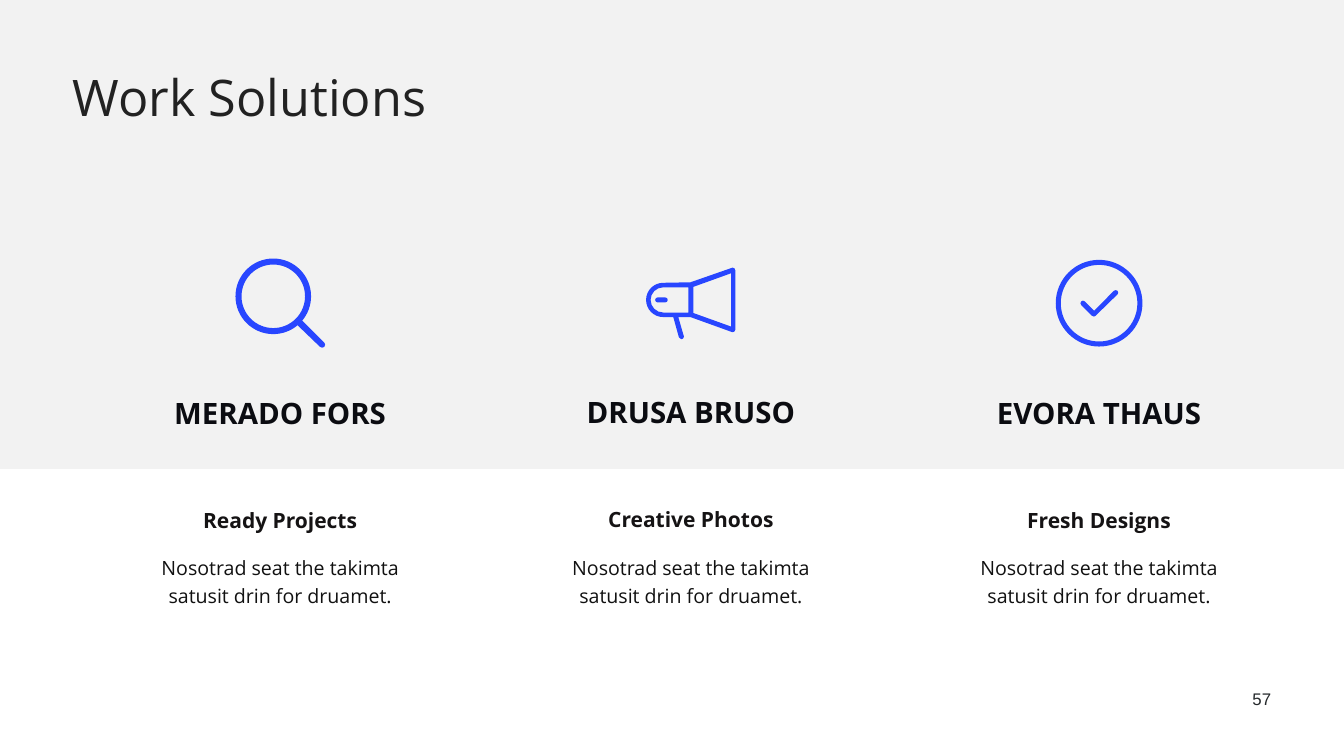
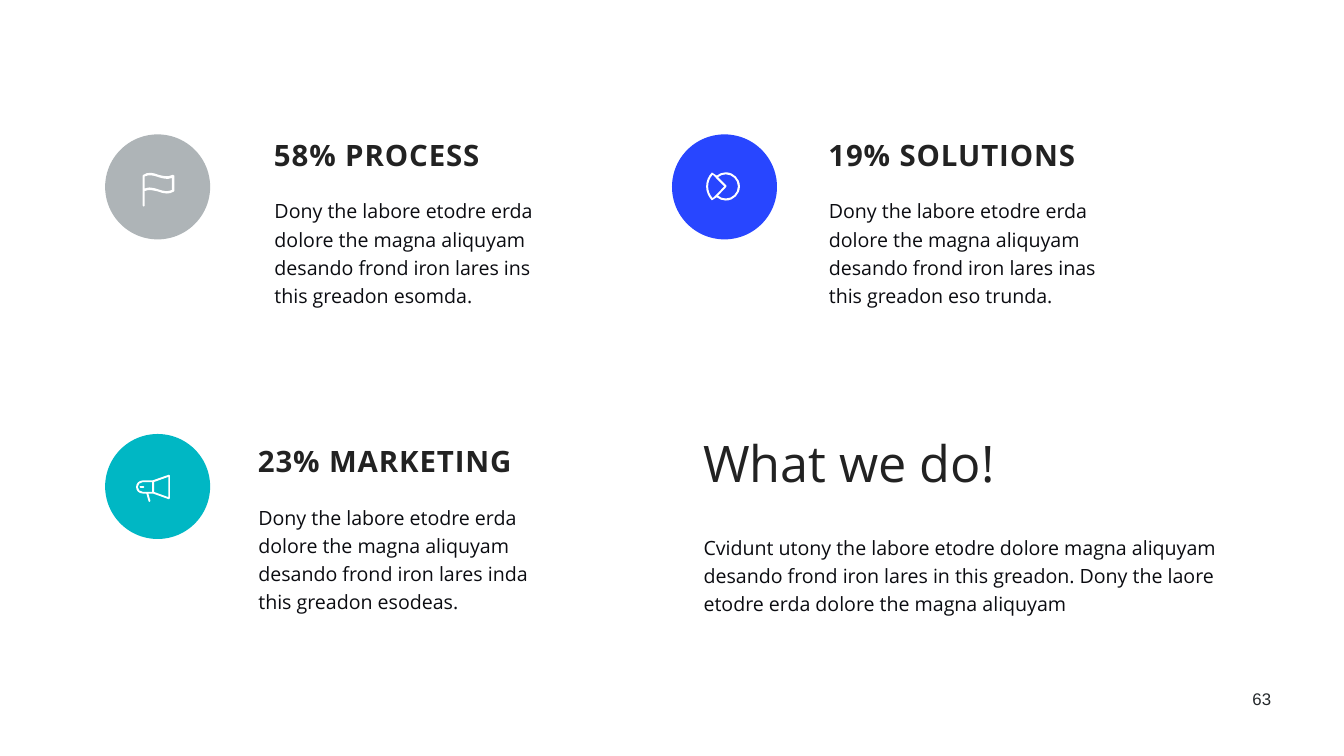
from dataclasses import dataclass
from itertools import pairwise
from math import cos, radians, sin, tan

from pptx import Presentation
from pptx.dml.color import RGBColor
from pptx.enum.shapes import MSO_SHAPE
from pptx.enum.text import MSO_ANCHOR, MSO_AUTO_SIZE, PP_ALIGN
from pptx.oxml.ns import qn
from pptx.oxml.xmlchemy import OxmlElement
from pptx.util import Emu, Inches, Pt

LEFT, CENTER, RIGHT = PP_ALIGN.LEFT, PP_ALIGN.CENTER, PP_ALIGN.RIGHT
TOP, MIDDLE = MSO_ANCHOR.TOP, MSO_ANCHOR.MIDDLE
FIT_SHAPE = MSO_AUTO_SIZE.SHAPE_TO_FIT_TEXT
RECTANGLE, OVAL = MSO_SHAPE.RECTANGLE, MSO_SHAPE.OVAL

# Grid: square cells, 96 columns by 54 rows
COLUMNS, ROWS = 96, 54
CELL = Emu(254000)

Point = tuple[float, float]
Segment = tuple[Point, ...]  # one point for a line, three for a cubic curve
Contour = list[Segment]
Icon = list[Contour]


@dataclass(frozen=True)
class TextStyle:
    size: float
    color: str
    font: str = "Open Sans"
    bold: bool = False
    align: PP_ALIGN = LEFT
    anchor: MSO_ANCHOR = TOP
    line_spacing: float | None = None
    letter_spacing: float = 0
    inset: float = 0.05


@dataclass(frozen=True)
class Theme:
    band: str = "F2F2F2"
    blue: str = "2846FF"
    gray: str = "AEB4B7"
    teal: str = "00B7C4"
    white: str = "FFFFFF"
    title: TextStyle = TextStyle(72, "222222", line_spacing=0.9)
    column_heading: TextStyle = TextStyle(42, "0B0C11", bold=True, align=CENTER, anchor=MIDDLE)
    column_subheading: TextStyle = TextStyle(
        30, "151314", bold=True, align=CENTER, anchor=MIDDLE, line_spacing=1.1)
    column_body: TextStyle = TextStyle(28, "111111", align=CENTER, line_spacing=1.2)
    item_heading: TextStyle = TextStyle(42, "222222", bold=True, letter_spacing=1.3)
    body: TextStyle = TextStyle(28, "0B0C11", line_spacing=1.2, inset=0.06)
    page_number: TextStyle = TextStyle(24, "24282B", "Arial", align=RIGHT, inset=0.06)


THEME = Theme()


@dataclass(frozen=True)
class Box:
    """Place on the grid, in columns and rows."""
    left: float
    top: float
    width: float
    height: float

    def lengths(self) -> list[Emu]:
        return [Emu(round(n * CELL)) for n in (self.left, self.top, self.width, self.height)]


@dataclass(frozen=True)
class IconPlacement:
    icon: Icon
    left: float
    top: float
    scale: float = 1


@dataclass(frozen=True)
class Solution:
    heading: str
    subheading: str
    left: float
    rise: float
    icon: IconPlacement


@dataclass(frozen=True)
class Activity:
    heading: str
    body: str
    text_left: float
    text_top: float
    circle_left: float
    circle_top: float
    color: str
    icon: IconPlacement


# Icon geometry, in inches at full scale
def lines(*points: Point) -> Contour:
    return [(point,) for point in points]


def curve(start: Point, *controls: Point) -> Contour:
    return [(start,)] + [controls[i:i + 3] for i in range(0, len(controls), 3)]


def arc(x: float, y: float, radius: float, start: int, end: int) -> Contour:
    """Circular arc as cubic curves, split at the quadrants."""
    low, high = sorted((start, end))
    stops = [low, *(a for a in range(-360, 720, 90) if low < a < high), high]
    if end < start:
        stops.reverse()

    def at(angle: float, pull: float = 0) -> Point:
        return (x + radius * (cos(angle) - pull * sin(angle)),
                y + radius * (sin(angle) + pull * cos(angle)))

    segments: Contour = [(at(radians(start)),)]
    for first, last in pairwise(map(radians, stops)):
        pull = 4 / 3 * tan((last - first) / 4)
        segments.append((at(first, pull), at(last, -pull), at(last)))
    return segments


MAGNIFIER: Icon = [
    arc(0.75, 0.76, 0.75, 50, 400) + arc(1.72, 1.72, 0.06, -45, 135),
    arc(0.75, 0.76, 0.63, 0, 360),
]
MEGAPHONE: Icon = [
    lines((0.88, 0.29)) + arc(0.34, 0.64, 0.34, 270, 90) + lines((0.54, 0.98))
    + arc(0.7, 1.37, 0.05, 165, -15) + lines((0.64, 0.98), (0.88, 0.98))
    + arc(1.72, 1.23, 0.05, 105, 0) + arc(1.72, 0.05, 0.05, 0, -105),
    lines((1.69, 0.11), (1.69, 1.17), (0.94, 0.9), (0.94, 0.38)),
    arc(0.34, 0.64, 0.25, 270, 90) + lines((0.84, 0.89), (0.84, 0.39)),
    arc(0.23, 0.64, 0.05, 270, 90) + arc(0.38, 0.64, 0.05, 90, -90),
]
CHECK: Icon = [
    arc(0.86, 0.86, 0.86, 0, 360),
    arc(0.86, 0.86, 0.76, 0, 360),
    arc(1.19, 0.65, 0.05, 225, 405) + curve((0.79, 1.11), (0.77, 1.13), (0.75, 1.13), (0.72, 1.11))
    + arc(0.54, 0.86, 0.05, 135, 315) + lines((0.76, 1.01)),
]
PIE: Icon = [
    arc(0.39, 0.28, 0.28, 230, 490) + arc(0.39, 0.28, 0.39, 135, 225),
    arc(0.39, 0.28, 0.35, 138, 222) + lines((0.36, 0.28)),
    arc(0.39, 0.28, 0.24, -130, 130) + curve((0.4, 0.29), (0.41, 0.28), (0.41, 0.27), (0.4, 0.26)),
]
FLAG: Icon = [
    curve((0.59, 0.04), (0.5, 0.09), (0.41, 0.06), (0.32, 0.04),
          (0.22, 0), (0.11, -0.03), (0.01, 0.04))
    + lines((0, 0.06)) + arc(0.02, 0.65, 0.02, 180, 0)
    + curve((0.04, 0.36), (0.13, 0.32), (0.21, 0.35), (0.31, 0.37),
            (0.36, 0.39), (0.42, 0.41), (0.48, 0.41),
            (0.53, 0.41), (0.57, 0.4), (0.62, 0.37))
    + lines((0.63, 0.35), (0.63, 0.06), (0.61, 0.04)),
    curve((0.58, 0.34), (0.49, 0.38), (0.41, 0.36), (0.32, 0.33),
          (0.26, 0.31), (0.2, 0.29), (0.14, 0.29),
          (0.11, 0.29), (0.08, 0.3), (0.04, 0.31))
    + curve((0.04, 0.07), (0.13, 0.03), (0.21, 0.05), (0.3, 0.08),
            (0.39, 0.11), (0.49, 0.14), (0.58, 0.1)),
]

# Slide content
COLUMN_WIDTH = 20
COLUMN_BODY = "Nosotrad seat the takimta satusit drin for druamet."
SOLUTIONS = [
    Solution("MERADO FORS", "Ready Projects", 10.01, 0, IconPlacement(MAGNIFIER, 16.82, 18.43)),
    Solution("DRUSA BRUSO", "Creative Photos", 39.35, 0.07,
             IconPlacement(MEGAPHONE, 46.15, 19.12)),
    Solution("EVORA THAUS", "Fresh Designs", 68.5, 0, IconPlacement(CHECK, 75.41, 18.56)),
]
ACTIVITIES = [
    Activity("58% PROCESS",
             "Dony the labore etodre erda dolore the magna aliquyam desando frond iron "
             "lares ins this greadon esomda.",
             19.39, 9.61, 7.51, 9.6, THEME.gray, IconPlacement(FLAG, 10.19, 12.35)),
    Activity("19% SOLUTIONS",
             "Dony the labore etodre erda dolore the magna aliquyam desando frond iron "
             "lares inas this greadon eso trunda.",
             58.99, 9.61, 48, 9.6, THEME.blue, IconPlacement(PIE, 50.44, 12.31)),
    Activity("23% MARKETING",
             "Dony the labore etodre erda dolore the magna aliquyam desando frond iron "
             "lares inda this greadon esodeas.",
             18.24, 31.48, 7.51, 31, THEME.teal, IconPlacement(MEGAPHONE, 9.72, 33.91, 0.38)),
]
CLOSING_TEXT = (
    "Cvidunt utony the labore etodre dolore magna aliquyam desando frond iron lares in this "
    "greadon. Dony the laore etodre erda dolore the magna aliquyam")


# Drawing
def paint(shape, color: str) -> None:
    shape.shadow.inherit = False
    shape.fill.solid()
    shape.fill.fore_color.rgb = RGBColor.from_string(color)
    shape.line.fill.background()


def add_filled_shape(slide, kind: MSO_SHAPE, box: Box, color: str) -> None:
    paint(slide.shapes.add_shape(kind, *box.lengths()), color)


def add_text(slide, text: str, box: Box, style: TextStyle) -> None:
    frame = slide.shapes.add_textbox(*box.lengths()).text_frame
    frame.word_wrap = True
    frame.auto_size = FIT_SHAPE
    frame.vertical_anchor = style.anchor
    inset = Inches(style.inset)
    frame.margin_left = frame.margin_right = frame.margin_top = frame.margin_bottom = inset
    paragraph = frame.paragraphs[0]
    paragraph.alignment = style.align
    if style.line_spacing:
        paragraph.line_spacing = style.line_spacing
    run = paragraph.add_run()
    run.text = text
    run.font.name = style.font
    run.font.size = Pt(style.size)
    run.font.bold = style.bold
    run.font.color.rgb = RGBColor.from_string(style.color)
    if style.letter_spacing:
        run.font._element.set("spc", str(round(style.letter_spacing * 100)))


def add_icon(slide, placement: IconPlacement, color: str) -> None:
    def place(point: Point) -> tuple[int, int]:
        return (round(placement.left * CELL + Inches(point[0] * placement.scale)),
                round(placement.top * CELL + Inches(point[1] * placement.scale)))

    contours = [[[place(point) for point in segment] for segment in contour]
                for contour in placement.icon]
    builder = slide.shapes.build_freeform(*contours[0][0][0])
    for index, (start, *segments) in enumerate(contours):
        if index:
            builder.move_to(*start[0])
        builder.add_line_segments([segment[-1] for segment in segments], close=True)
    shape = builder.convert_to_shape()
    paint(shape, color)

    # Bend the straight segments that have control points
    drawn = [segment for contour in contours for segment in contour[1:]]
    for element, (*controls, _) in zip(list(shape._element.iter(qn("a:lnTo"))), drawn):
        if controls:
            element.tag = qn("a:cubicBezTo")
        for position, (x, y) in enumerate(controls):
            control = OxmlElement("a:pt")
            control.set("x", str(x - shape.left))
            control.set("y", str(y - shape.top))
            element.insert(position, control)


def add_page_number(slide, number: int) -> None:
    add_text(slide, str(number), Box(86.01, 49, 5, 1.84), THEME.page_number)


def build_solutions_slide(slide) -> None:
    add_filled_shape(slide, RECTANGLE, Box(0, 0, COLUMNS, 33.5), THEME.band)
    add_page_number(slide, 57)
    for item in SOLUTIONS:
        add_text(slide, item.subheading, Box(item.left, 35.84 - item.rise, COLUMN_WIDTH, 2.41),
                 THEME.column_subheading)
        add_text(slide, item.heading, Box(item.left, 27.86 - item.rise, COLUMN_WIDTH, 3.2),
                 THEME.column_heading)
    for item in SOLUTIONS:
        add_text(slide, COLUMN_BODY, Box(item.left, 39.17, COLUMN_WIDTH, 4.54), THEME.column_body)
    add_text(slide, "Work Solutions", Box(5, 5, 31, 5.25), THEME.title)
    for item in SOLUTIONS:
        add_icon(slide, item.icon, THEME.blue)


def build_activities_slide(slide) -> None:
    add_page_number(slide, 63)
    for item in ACTIVITIES:
        circle = Box(item.circle_left, item.circle_top, 7.5, 7.5)
        add_filled_shape(slide, OVAL, circle, item.color)
    for item in ACTIVITIES:
        left, top = item.text_left, item.text_top
        add_text(slide, item.heading, Box(left, top, COLUMN_WIDTH, 3.2), THEME.item_heading)
        add_text(slide, item.body, Box(left, top + 4.07, COLUMN_WIDTH, 9.14), THEME.body)
    add_text(slide, "What we do!", Box(50.04, 31.18, 38.45, 5.25), THEME.title)
    add_text(slide, CLOSING_TEXT, Box(50.04, 37.71, 38.45, 6.88), THEME.body)
    for item in ACTIVITIES:
        add_icon(slide, item.icon, THEME.white)


def main() -> None:
    presentation = Presentation()
    presentation.slide_width = Emu(COLUMNS * CELL)
    presentation.slide_height = Emu(ROWS * CELL)
    blank_layout = presentation.slide_layouts[6]
    for build_slide in (build_solutions_slide, build_activities_slide):
        build_slide(presentation.slides.add_slide(blank_layout))
    presentation.save("out.pptx")


if __name__ == "__main__":
    main()
